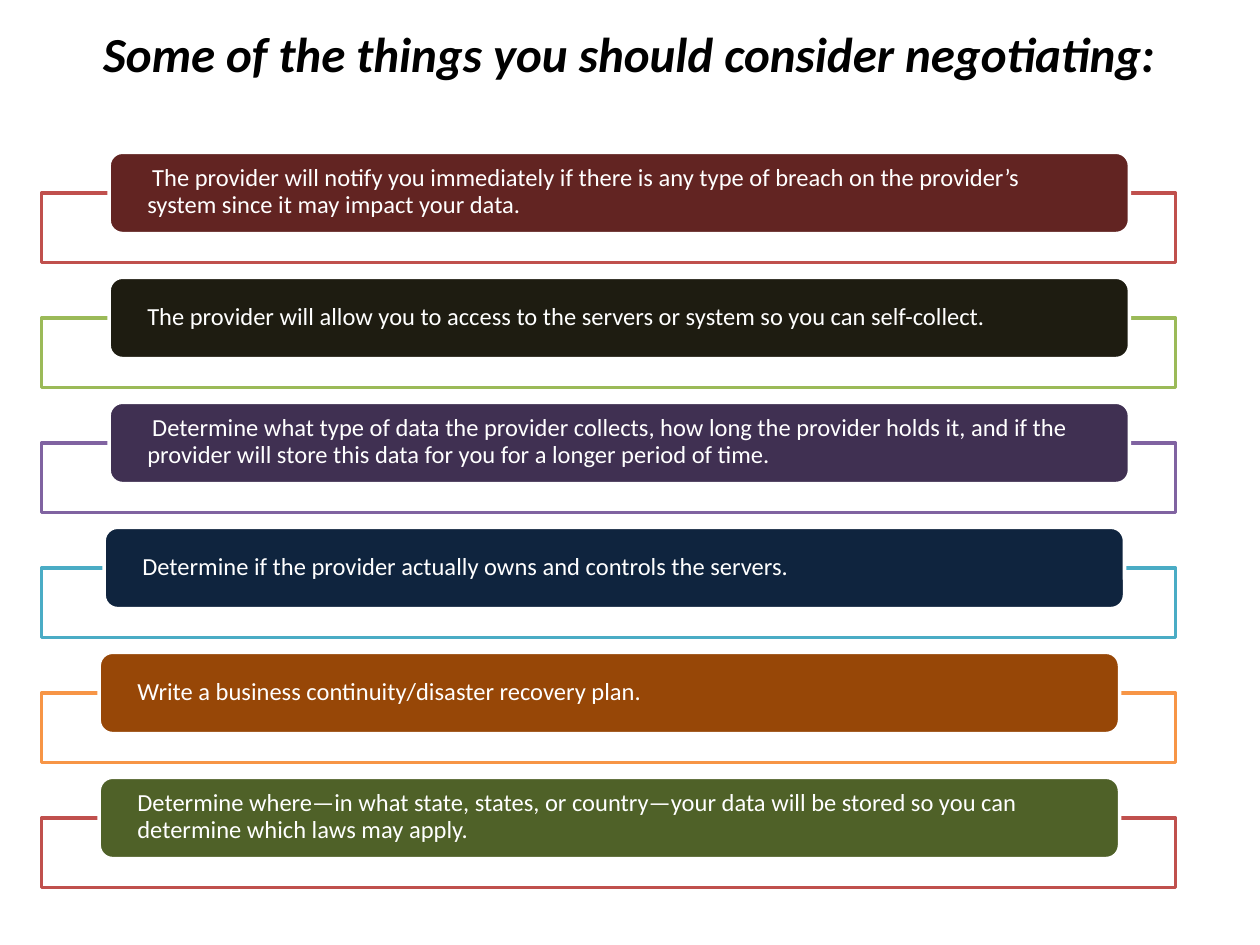
import pptx
import pptx.util
import pptx.dml.color
import pptx.enum.shapes
import pptx.enum.text

Cm, Pt = pptx.util.Cm, pptx.util.Pt
SHAPE = pptx.enum.shapes.MSO_SHAPE
ANCHOR = pptx.enum.text.MSO_ANCHOR
ALIGN = pptx.enum.text.PP_ALIGN

# Text, bar colour, frame colour, bar offset from the frame (cm), first-line indent (cm)
ITEMS = [
    ("The provider will notify you immediately if there is any type of breach "
     "on the provider’s system since it may impact your data.",
     "622422", "C0504D", 1.36, 0.1),
    ("The provider will allow you to access to the servers or system so you "
     "can self-collect.",
     "1E1C11", "9BBA58", 1.36, 0),
    ("Determine what type of data the provider collects, how long the provider "
     "holds it, and if the provider will store this data for you for a longer "
     "period of time.",
     "403052", "8063A1", 1.36, 0.1),
    ("Determine if the provider actually owns and controls the servers.",
     "0F243E", "4AACC5", 1.26, 0),
    ("Write a business continuity/disaster recovery plan.",
     "974707", "F79546", 1.16, 0),
    ("Determine where—in what state, states, or country—your data will be "
     "stored so you can determine which laws may apply.",
     "4F6128", "C0504D", 1.16, 0),
]
ROW_PITCH = 2.52


def rgb(value):
    return pptx.dml.color.RGBColor.from_string(value)


def write(sp, text, size, color, bold=False, italic=False, spacing=None,
          indent=0, anchor=ANCHOR.MIDDLE, insets=(0, 0, 0, 0)):
    tf = sp.text_frame
    tf.word_wrap = True
    tf.vertical_anchor = anchor
    tf.margin_left, tf.margin_top, tf.margin_right, tf.margin_bottom = map(Cm, insets)
    p = tf.paragraphs[0]
    p.alignment = ALIGN.LEFT
    if spacing:
        p.line_spacing = Pt(spacing)
    if indent:
        p._p.get_or_add_pPr().set("indent", str(Cm(indent)))
    r = p.add_run()
    r.text = text
    r.font.name = "Calibri"
    r.font.size = Pt(size)
    r.font.bold = bold
    r.font.italic = italic
    r.font.color.rgb = rgb(color)


def add_box(s, kind, x, y, w, h, line, fill=None):
    sp = s.shapes.add_shape(kind, Cm(x), Cm(y), Cm(w), Cm(h))
    sp.shadow.inherit = False
    if fill:
        sp.fill.solid()
        sp.fill.fore_color.rgb = rgb(fill)
    else:
        sp.fill.background()
    sp.line.color.rgb = rgb(line)
    sp.line.width = Pt(2)
    return sp


def add_title(s, text, x, y, w, h):
    sp = s.shapes.title
    sp.left, sp.top, sp.width, sp.height = Cm(x), Cm(y), Cm(w), Cm(h)
    write(sp, text, 28, "000000", bold=True, italic=True,
          anchor=ANCHOR.TOP, insets=(0.03, 0.03, 0, 0))


def add_item(s, x, y, w, h, text, fill, line, offset, indent):
    # Open frame behind the lower part of the row
    frame_h = 1.4
    add_box(s, SHAPE.RECTANGLE, x, y + h - frame_h, w, frame_h, line)
    # Rounded bar with the text
    bar = add_box(s, SHAPE.ROUNDED_RECTANGLE, x + offset, y, 20.57, 1.64,
                  "FFFFFF", fill)
    write(bar, text, 14, "FFFFFF", spacing=15.4, indent=indent,
          insets=(0.69, 0, 0.76, 0.05))


def main():
    prs = pptx.Presentation()
    prs.slide_width, prs.slide_height = Cm(25.4), Cm(19.05)
    s = prs.slides.add_slide(prs.slide_layouts[5])

    add_title(s, "Some of the things you should consider negotiating:",
              2.05, 0.44, 21.6, 1.25)
    for i, item in enumerate(ITEMS):
        add_item(s, 0.84, 3.07 + i * ROW_PITCH, 22.86, 2.22, *item)

    prs.save("out.pptx")


if __name__ == "__main__":
    main()
